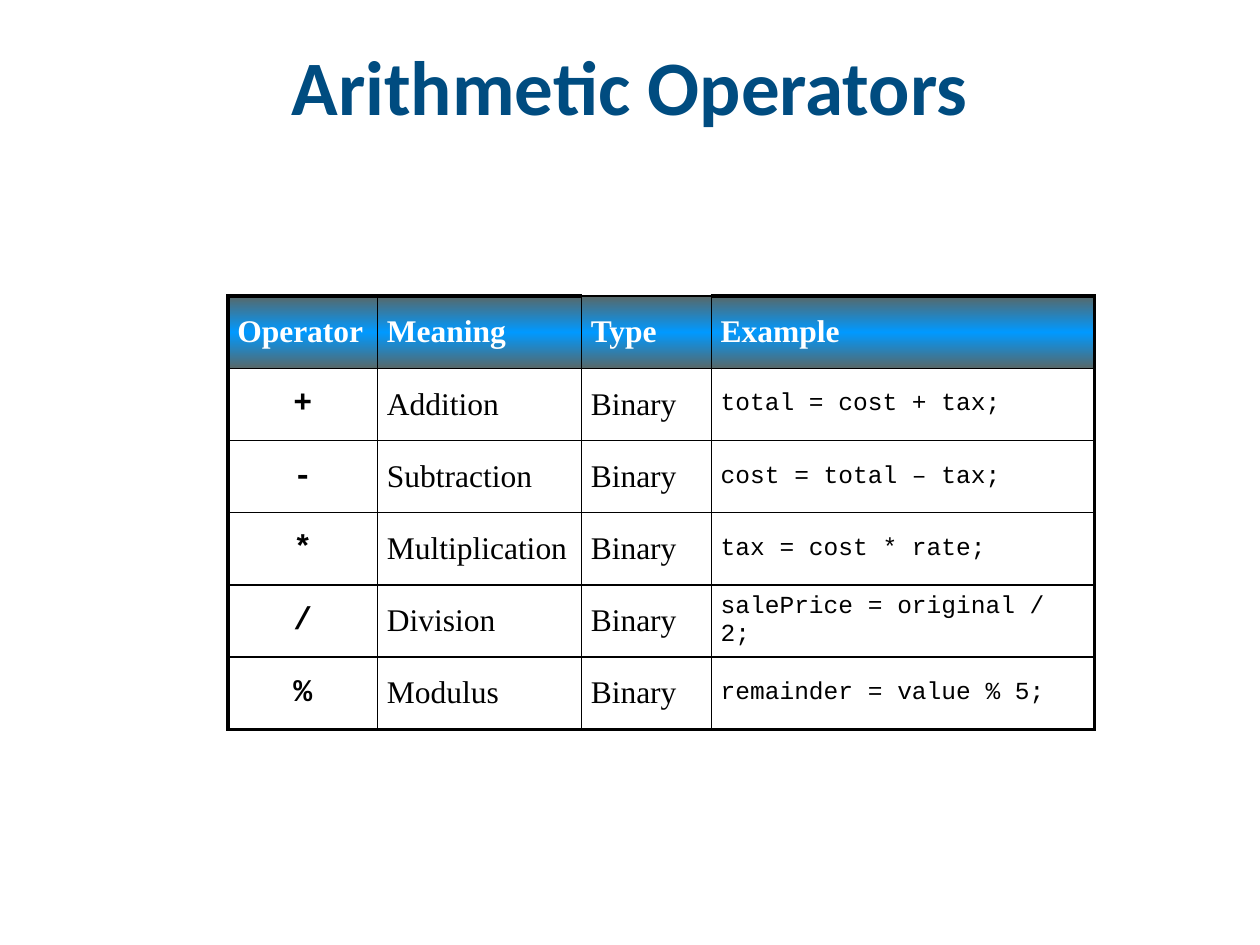
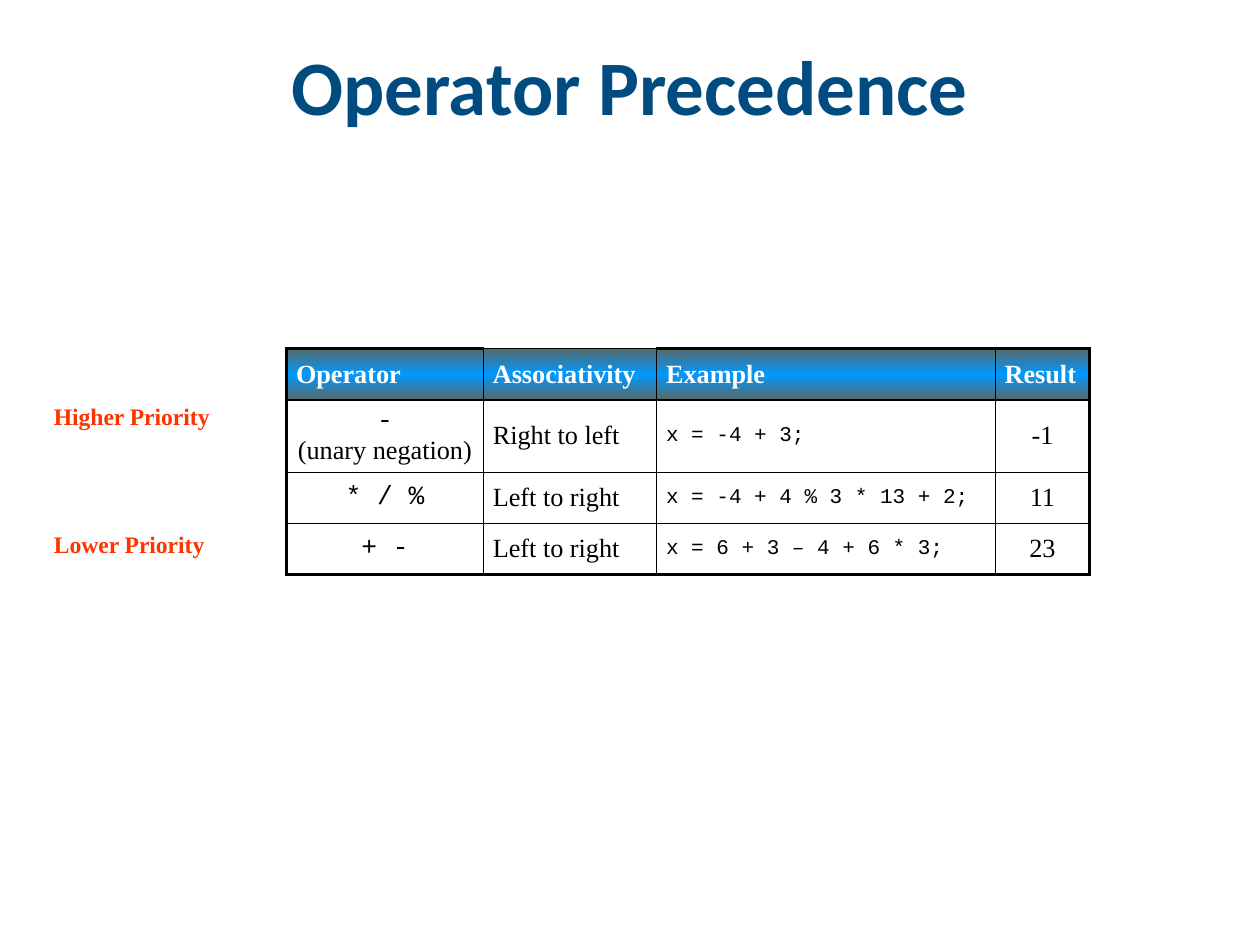
from copy import deepcopy
from itertools import accumulate

from lxml.etree import SubElement
from pptx import Presentation
from pptx.dml.color import RGBColor
from pptx.enum.text import MSO_ANCHOR, PP_ALIGN
from pptx.oxml.ns import qn
from pptx.util import Pt

NAVY = RGBColor(0x00, 0x4C, 0x80)
SLATE = RGBColor(0x57, 0x68, 0x69)
AZURE = RGBColor(0x00, 0x99, 0xFF)
ORANGE = RGBColor(0xFF, 0x33, 0x00)
WHITE = RGBColor(0xFF, 0xFF, 0xFF)
BLACK = RGBColor(0x00, 0x00, 0x00)

SERIF, MONO, SANS = "Times New Roman", "Courier New", "Calibri"
THICK, THIN = 2.25, 1
TITLE_BOX = (36, 12.25, 648, 72)


def write(para, text, font=SERIF, size=18, color=BLACK, bold=False,
          align=PP_ALIGN.LEFT):
    """Add text to a paragraph; a line feed becomes a line break."""
    para.alignment = align
    for number, line in enumerate(text.split("\n")):
        if number:
            para.add_line_break()
            line_break = para._p.findall(qn("a:br"))[-1]
            line_break.append(deepcopy(span._r.rPr))
        if not line:
            continue
        span = para.add_run()
        span.text = line
        span.font.name = font
        span.font.size = Pt(size)
        span.font.bold = bold
        span.font.color.rgb = color


def add_text(page, box, text, anchor=MSO_ANCHOR.TOP, **style):
    frame = page.shapes.add_textbox(*map(Pt, box)).text_frame
    frame.word_wrap = True
    frame.vertical_anchor = anchor
    write(frame.paragraphs[0], text, **style)


def add_title(page, text):
    add_text(page, TITLE_BOX, text, anchor=MSO_ANCHOR.MIDDLE, font=SANS,
             size=44, color=NAVY, bold=True, align=PP_ALIGN.CENTER)


def add_solid(parent, color):
    fill = SubElement(parent, qn("a:solidFill"))
    SubElement(fill, qn("a:srgbClr"), val=str(color))


def set_borders(cell, left, right, top, bottom):
    properties = cell._tc.get_or_add_tcPr()
    for side, width in zip("LRTB", (left, right, top, bottom)):
        line = SubElement(properties, qn(f"a:ln{side}"), w=str(Pt(width)))
        add_solid(line, BLACK)


def set_header_gradient(cell):
    gradient = SubElement(cell._tc.get_or_add_tcPr(), qn("a:gradFill"))
    stops = SubElement(gradient, qn("a:gsLst"))
    for percent, color in ((0, SLATE), (50, AZURE), (100, SLATE)):
        stop = SubElement(stops, qn("a:gs"), pos=str(percent * 1000))
        SubElement(stop, qn("a:srgbClr"), val=str(color))
    SubElement(gradient, qn("a:lin"), ang="5400000", scaled="1")


def add_grid(page, origin, widths, heights, rows, styles, size, thin_top):
    """Draw a framed table; styles format the body columns, and the header
    of column thin_top keeps a thin upper border."""
    box = (*origin, sum(widths), sum(heights))
    table = page.shapes.add_table(len(rows), len(widths), *map(Pt, box)).table
    table.first_row = table.horz_banding = False
    for column, width in zip(table.columns, widths):
        column.width = Pt(width)
    for row, height in zip(table.rows, heights):
        row.height = Pt(height)

    last_row, last_column = len(rows) - 1, len(widths) - 1
    header = dict(size=size, color=WHITE, bold=True)
    for r, texts in enumerate(rows):
        for c, text in enumerate(texts):
            cell = table.cell(r, c)
            cell.vertical_anchor = MSO_ANCHOR.MIDDLE
            cell.margin_left = cell.margin_right = Pt(5.4)
            cell.margin_top = cell.margin_bottom = Pt(2.7)
            set_borders(
                cell,
                left=THICK if c == 0 else THIN,
                right=THICK if c == last_column else THIN,
                top=THICK if r == 0 and c != thin_top else THIN,
                bottom=THICK if r == last_row else THIN)
            if r == 0:
                set_header_gradient(cell)
            else:
                cell.fill.background()
            style = {"size": size, **styles[c]} if r else header
            para = cell.text_frame.paragraphs[0]
            # Words under an operator sign are set in the serif face
            sign, newline, note = text.partition("\n")
            write(para, sign + newline, **style)
            if note:
                write(para, note, **{**style, "font": SERIF})


def build_arithmetic(page):
    add_title(page, "Arithmetic Operators")
    operators = [
        ("+", "Addition", "total = cost + tax;"),
        ("-", "Subtraction", "cost = total – tax;"),
        ("*", "Multiplication", "tax = cost * rate;"),
        ("/", "Division", "salePrice = original / 2;"),
        ("%", "Modulus", "remainder = value % 5;"),
    ]
    rows = [("Operator", "Meaning", "Type", "Example")]
    rows += [(sign, name, "Binary", code) for sign, name, code in operators]
    styles = [dict(font=MONO, bold=True, align=PP_ALIGN.CENTER), {}, {},
              dict(font=MONO, size=14)]
    add_grid(page, (130.25, 169.25), (85.5, 116.5, 74.25, 219),
             [41.25] * len(rows), rows, styles, size=18, thin_top=2)


def build_precedence(page):
    add_title(page, "Operator Precedence")
    rows = [
        ("Operator", "Associativity", "Example", "Result"),
        ("-\n(unary negation)", "Right to left", "x = -4 + 3;", "-1"),
        ("* / %", "Left to right", "x = -4 + 4 % 3 * 13 + 2;", "11"),
        ("+ -", "Left to right", "x = 6 + 3 – 4 + 6 * 3;", "23"),
    ]
    styles = [dict(font=MONO, align=PP_ALIGN.CENTER), {},
              dict(font=MONO, size=12), dict(align=PP_ALIGN.CENTER)]
    left, top = 163.75, 199.25
    heights = (29.25, 41.25, 29.25, 29.25)
    add_grid(page, (left, top), (112.5, 99, 193.5, 54), heights, rows,
             styles, size=15, thin_top=1)

    # Priority labels beside the first and last body rows
    row_tops = [top, *accumulate(heights, initial=top)][1:]
    for label, row, shift in (("Higher Priority", 1, -2.5),
                              ("Lower Priority", 3, 0.5)):
        add_text(page, (left - 140, row_tops[row] + shift, 125, 23.75), label,
                 size=13.5, color=ORANGE, bold=True)


def main():
    deck = Presentation()
    deck.slide_width, deck.slide_height = Pt(720), Pt(540)
    for build in (build_arithmetic, build_precedence):
        build(deck.slides.add_slide(deck.slide_layouts[6]))
    deck.save("out.pptx")


if __name__ == "__main__":
    main()
